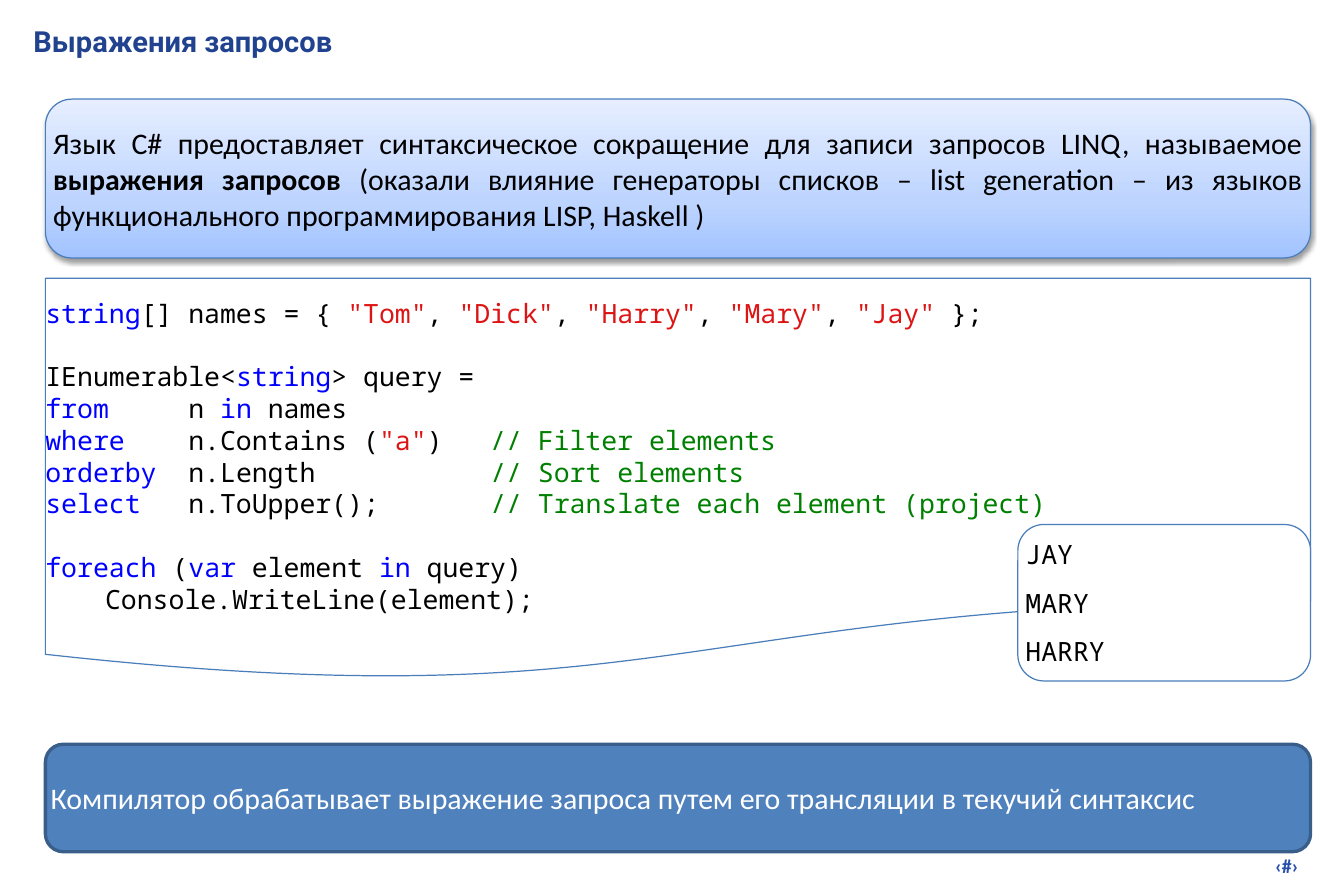
from copy import deepcopy

from lxml import etree
from pptx import Presentation
from pptx.dml.color import RGBColor
from pptx.enum.shapes import MSO_SHAPE as SHAPE
from pptx.enum.text import MSO_ANCHOR as ANCHOR, MSO_AUTO_SIZE as AUTO, PP_ALIGN as ALIGN
from pptx.oxml.ns import qn
from pptx.util import Inches, Pt

TITLE = "Выражения запросов"
PAGE_MARK = "‹#›"
BLACK, WHITE, BLUE = "000000", "FFFFFF", "4A7EBB"
KEYWORD, STRING, COMMENT = "0000FF", "DC1414", "008000"
BODY, MONO, HEAD = "Calibri", "Noto Sans Mono", "Roboto"

# A run is (text, colour, bold); a paragraph is a list of runs.
INTRO = [[
    ("Язык С# предоставляет синтаксическое сокращение для записи запросов LINQ, называемое ", BLACK, False),
    ("выражения запросов ", BLACK, True),
    ("(оказали влияние генераторы списков – list generation – из языков "
     "функционального программирования LISP, Haskell )", BLACK, False),
]]
RESULT = [[(name, BLACK, False)] for name in ("JAY", "MARY", "HARRY")]
SUMMARY = [[("Компилятор обрабатывает выражение запроса путем его трансляции в текучий синтаксис",
             WHITE, False)]]

# Code pieces: a plain string is black, a pair carries its colour.
CODE = [
    [("string", KEYWORD), "[] names = { ", ('"Tom"', STRING), ", ", ('"Dick"', STRING), ", ",
     ('"Harry"', STRING), ", ", ('"Mary"', STRING), ", ", ('"Jay"', STRING), " };"],
    ["IEnumerable<", ("string", KEYWORD), "> query ="],
    [("from", KEYWORD), "     n ", ("in", KEYWORD), " names"],
    [("where", KEYWORD), "    n.Contains (", ('"a"', STRING), ")   ", ("// Filter elements", COMMENT)],
    [("orderby", KEYWORD), "  n.Length           ", ("// Sort elements", COMMENT)],
    [("select", KEYWORD), "   n.ToUpper();       ",
     ("// Translate each element (project)", COMMENT)],
    [("foreach", KEYWORD), " (", ("var", KEYWORD), " element ", ("in", KEYWORD), " query)"],
    ["\tConsole.WriteLine(element);"],
]
BLOCK_STARTS = (1, 6)
CODE_LINE = 19.1

GRADIENT = [(0, "A2C3FF"), (0.35, "BDD4FF"), (1, "E6EEFF")]
SLIDE_W, SLIDE_H = 11.25, 7.5
LEFT, WIDTH = 0.38, 10.59
RIGHT = LEFT + WIDTH
RESULT_W = 2.45


def rgb(value):
    return RGBColor.from_string(value)


def write(sp, paragraphs, font, size, align=ALIGN.LEFT, anchor=ANCHOR.MIDDLE, gaps=None, top=0):
    """Fill a shape with runs; gaps maps a paragraph number to its space before."""
    tf = sp.text_frame
    tf.word_wrap, tf.auto_size, tf.vertical_anchor = True, AUTO.NONE, anchor
    tf.margin_left = tf.margin_right = tf.margin_bottom = 0
    tf.margin_top = Pt(top)
    for i, runs in enumerate(paragraphs):
        p = tf.paragraphs[0] if i == 0 else tf.add_paragraph()
        p.alignment = align
        p.space_before = Pt((gaps or {}).get(i, 0))
        for text, colour, bold in runs:
            r = p.add_run()
            r.text = text
            r.font.name, r.font.size, r.font.bold = font, Pt(size), bold
            r.font.color.rgb = rgb(colour)


def add_panel(slide, kind, left, top, width, height, fill=WHITE, line=BLUE, weight=0.75):
    sp = slide.shapes.add_shape(kind, *map(Inches, (left, top, width, height)))
    sp.shadow.inherit = False
    sp.fill.solid()
    sp.fill.fore_color.rgb = rgb(fill)
    sp.line.color.rgb = rgb(line)
    sp.line.width = Pt(weight)
    return sp


def shade(sp):
    """Give a panel the three-stop gradient and a soft shadow below."""
    sp.fill.gradient()
    sp.fill.gradient_angle = 90
    stop_list = sp._element.spPr.find(qn("a:gradFill")).find(qn("a:gsLst"))
    stop_list.append(deepcopy(stop_list[0]))
    for stop, (position, colour) in zip(sp.fill.gradient_stops, GRADIENT):
        stop.position = position
        stop.color.rgb = rgb(colour)
    effects = sp._element.spPr.find(qn("a:effectLst"))
    shadow = etree.SubElement(effects, qn("a:outerShdw"), blurRad=str(Pt(3)), dist=str(Pt(1.6)),
                              dir="5400000", rotWithShape="0")
    colour = etree.SubElement(shadow, qn("a:srgbClr"), val=BLACK)
    etree.SubElement(colour, qn("a:alpha"), val="38000")


def main():
    prs = Presentation()
    prs.slide_width, prs.slide_height = Inches(SLIDE_W), Inches(SLIDE_H)
    slide = prs.slides.add_slide(prs.slide_layouts[5])

    title = slide.shapes.title
    title.left, title.top, title.width, title.height = map(Inches, (0.28, 0.2, 10.74, 0.4))
    write(title, [[(TITLE, "21438F", True)]], HEAD, 17.5, anchor=ANCHOR.TOP)

    intro = add_panel(slide, SHAPE.ROUNDED_RECTANGLE, LEFT, 0.83, WIDTH, 1.33)
    shade(intro)
    write(intro, INTRO, BODY, 18, ALIGN.JUSTIFY)

    code = add_panel(slide, SHAPE.FLOWCHART_DOCUMENT, LEFT, 2.33, WIDTH, 3.37)
    lines = [[(piece, BLACK, False) if isinstance(piece, str) else (*piece, False) for piece in line]
             for line in CODE]
    write(code, lines, MONO, 16, gaps=dict.fromkeys(BLOCK_STARTS, CODE_LINE), top=CODE_LINE)

    result = add_panel(slide, SHAPE.ROUNDED_RECTANGLE, RIGHT - RESULT_W, 4.39, RESULT_W, 1.31)
    write(result, RESULT, MONO, 16, gaps={1: 10, 2: 10})

    summary = add_panel(slide, SHAPE.ROUNDED_RECTANGLE, LEFT, 6.23, WIDTH, 0.9,
                        "4F81BD", "3A5E8A", 2)
    write(summary, SUMMARY, BODY, 18, ALIGN.JUSTIFY)

    page = slide.shapes.add_textbox(*map(Inches, (8.54, 7.1, 2.33, 0.29)))
    write(page, [[(PAGE_MARK, "2750AB", True)]], BODY, 12, ALIGN.RIGHT)

    prs.save("out.pptx")


if __name__ == "__main__":
    main()
